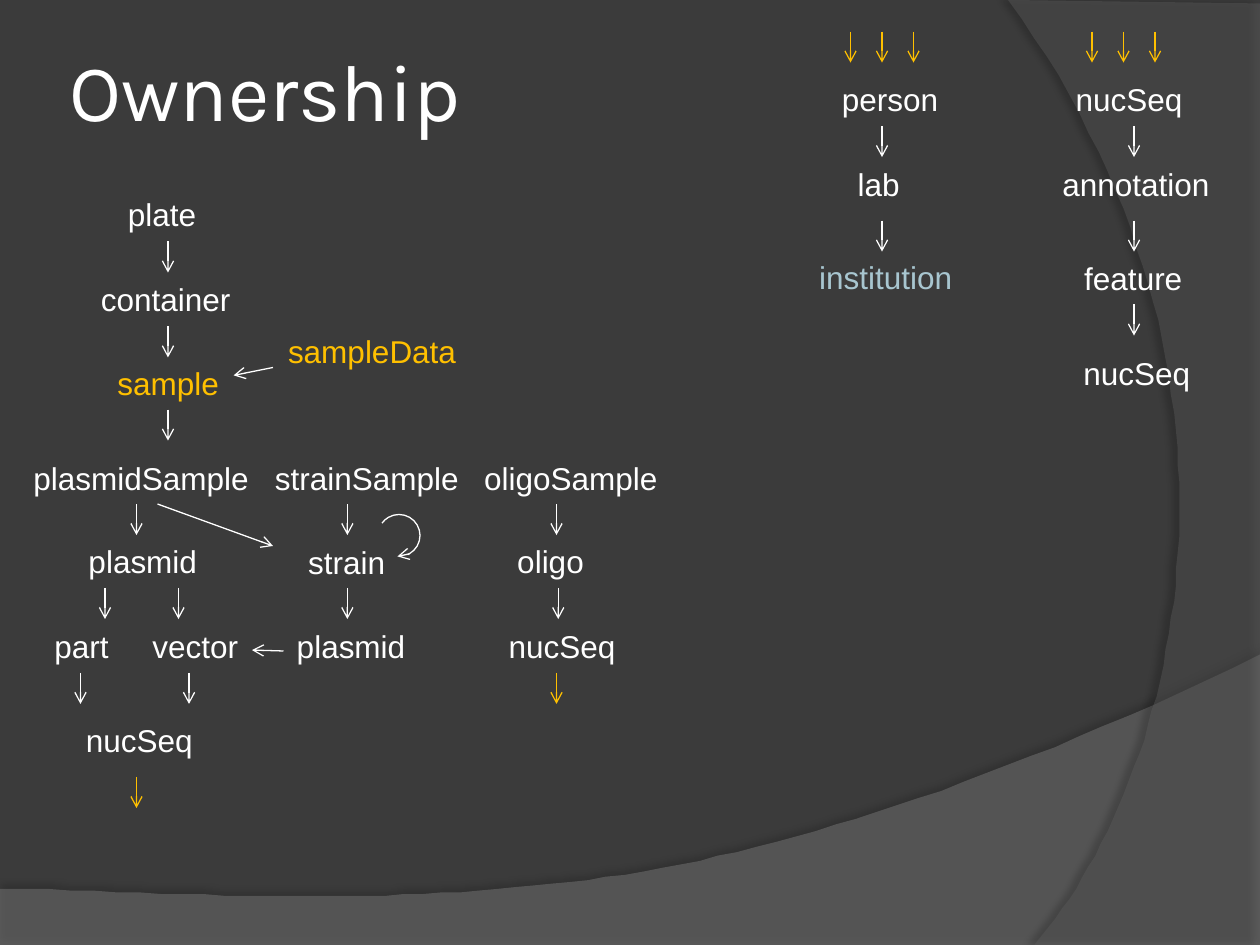
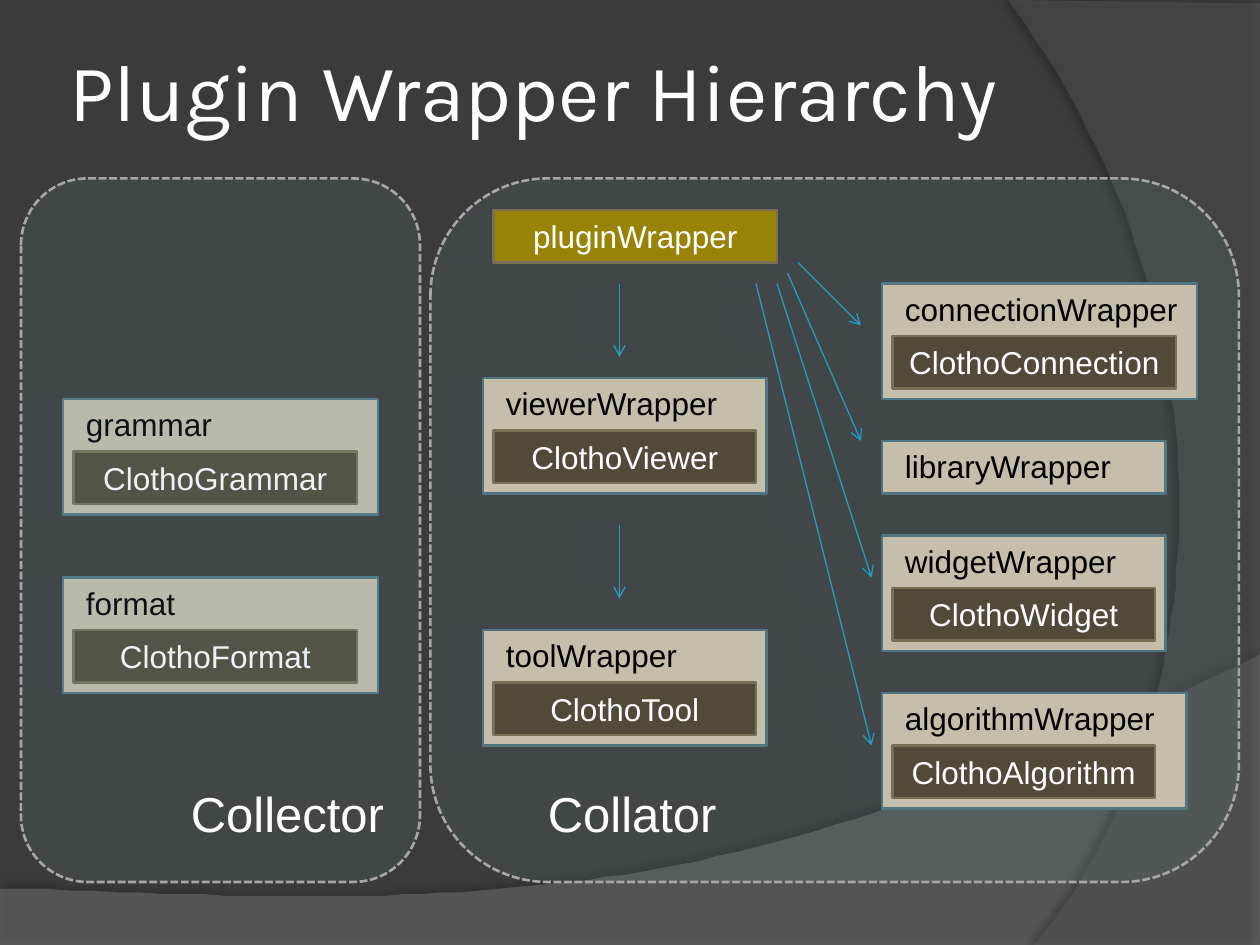
"""Two dark slides: an ownership graph and a plugin wrapper hierarchy."""
from lxml import etree
from pptx import Presentation
from pptx.dml.color import RGBColor
from pptx.enum.dml import MSO_LINE
from pptx.enum.shapes import MSO_CONNECTOR, MSO_SHAPE
from pptx.enum.text import MSO_ANCHOR, MSO_AUTO_SIZE, PP_ALIGN
from pptx.oxml.ns import qn
from pptx.util import Pt

STRAIGHT = MSO_CONNECTOR.STRAIGHT
RECTANGLE, ROUNDED, ARC = MSO_SHAPE.RECTANGLE, MSO_SHAPE.ROUNDED_RECTANGLE, MSO_SHAPE.ARC
DASHED = MSO_LINE.SQUARE_DOT
MIDDLE, TOP = MSO_ANCHOR.MIDDLE, MSO_ANCHOR.TOP
LEFT, CENTER = PP_ALIGN.LEFT, PP_ALIGN.CENTER
GROW, FIXED = MSO_AUTO_SIZE.SHAPE_TO_FIT_TEXT, MSO_AUTO_SIZE.NONE

WIDTH, HEIGHT = 720, 540
COLORS = {
    "background": "3B3B3B", "swoosh": "7F7F7F", "crescent": "5E5E5E", "shadow": "000000",
    "white": "FFFFFF", "black": "000000", "amber": "FFC000", "pale blue": "A8C6D0",
    "panel": "6EA0B0", "panel edge": "A6A6A6", "root": "998307", "arrow blue": "239BC2",
    "card": "C5BEAB", "card edge": "517682", "inner": "514A38", "inner edge": "796F54",
}


def curve(start, control_1, control_2, end, steps=60):
    """Return points along a cubic curve, both ends included."""
    points = []
    for step in range(steps + 1):
        t = step / steps
        weights = ((1 - t) ** 3, 3 * t * (1 - t) ** 2, 3 * t * t * (1 - t), t ** 3)
        corners = (start, control_1, control_2, end)
        points.append(tuple(sum(w * corner[axis] for w, corner in zip(weights, corners))
                            for axis in (0, 1)))
    return points


class Deck:
    """Holds the shared style and the slide being drawn."""

    body_font, title_font = "Arial", "Karla"
    body_size, title_size = 18, 46
    label_height, bar_height, card_height = 29, 30, 66

    def __init__(self):
        """Start an empty 4:3 presentation."""
        self.presentation = Presentation()
        self.presentation.slide_width = Pt(WIDTH)
        self.presentation.slide_height = Pt(HEIGHT)
        self.slide = None

    def color(self, name):
        """Look up a named colour."""
        return RGBColor.from_string(COLORS[name])

    def start_slide(self):
        """Add a slide with the shared background and its two curved bands."""
        self.slide = self.presentation.slides.add_slide(self.presentation.slide_layouts[6])
        fill = self.slide.background.fill
        fill.solid()
        fill.fore_color.rgb = self.color("background")
        swoosh = curve((720, 374.5), (402.5, 525), (281.5, 517.5), (0, 507.5))
        self.band(swoosh + [(0, 540.5), (720, 540.5)], "swoosh", 45, (35, 3.5, 270))
        crescent = curve((591, 540), (673, 445.5), (733, 216), (576, 0))
        self.band(crescent + [(720, 1.5), (720, 540)], "crescent", 40, (45, 4, 180))

    def band(self, points, color, opacity, shadow):
        """Draw a translucent outline; shadow is opacity, distance, direction."""
        builder = self.slide.shapes.build_freeform(*points[0], scale=Pt(1))
        builder.add_line_segments(points[1:], close=True)
        shape = builder.convert_to_shape()
        self.paint(shape, color, opacity=opacity)
        strength, distance, direction = shadow
        effects = shape.element.spPr.find(qn("a:effectLst"))
        outer = etree.SubElement(effects, qn("a:outerShdw"), blurRad=str(Pt(4)),
                                 dist=str(Pt(distance)), dir=str(direction * 60000),
                                 algn="ctr", rotWithShape="0")
        shade = etree.SubElement(outer, qn("a:srgbClr"), val=COLORS["shadow"])
        etree.SubElement(shade, qn("a:alpha"), val=str(strength * 1000))

    def paint(self, shape, color=None, edge=None, opacity=None, weight=1.5):
        """Set fill and line, and drop the theme shadow."""
        shape.shadow.inherit = False
        if color:
            shape.fill.solid()
            shape.fill.fore_color.rgb = self.color(color)
        else:
            shape.fill.background()
        if opacity:
            solid = shape.element.spPr.find(qn("a:solidFill"))
            etree.SubElement(solid[0], qn("a:alpha"), val=str(opacity * 1000))
        if edge:
            shape.line.color.rgb = self.color(edge)
            shape.line.width = Pt(weight)
        else:
            shape.line.fill.background()

    def set_text(self, shape, text, color="white", size=None, font=None, align=LEFT,
                 anchor=TOP, wrap=True, grow=False):
        """Put one styled paragraph into a shape."""
        frame = shape.text_frame
        frame.word_wrap = wrap
        frame.auto_size = GROW if grow else FIXED
        frame.vertical_anchor = anchor
        paragraph = frame.paragraphs[0]
        paragraph.text = text
        paragraph.alignment = align
        paragraph.font.name = font or self.body_font
        paragraph.font.size = Pt(size or self.body_size)
        paragraph.font.color.rgb = self.color(color)

    def text_box(self, left, top, width, height):
        """Add an empty text box."""
        return self.slide.shapes.add_textbox(Pt(left), Pt(top), Pt(width), Pt(height))

    def title(self, text, width):
        """Add the slide title."""
        box = self.text_box(36, 6, width, 90)
        frame = box.text_frame
        frame.margin_left = frame.margin_right = Pt(3.6)
        self.set_text(box, text, size=self.title_size, font=self.title_font, anchor=MIDDLE)

    def label(self, text, left, top, width, color="white", size=None, wrap=False):
        """Add a one-line label in a box that fits its text."""
        height = self.label_height if size is None else 41
        box = self.text_box(left, top, width, height)
        self.set_text(box, text, color, size, wrap=wrap, grow=True)

    def arrow_tip(self, shape):
        """End the line of a shape in an open arrowhead."""
        etree.SubElement(shape.element.spPr.find(qn("a:ln")), qn("a:tailEnd"), type="arrow")

    def arrow(self, x1, y1, x2, y2, color="white"):
        """Draw a thin straight arrow."""
        line = self.slide.shapes.add_connector(STRAIGHT, Pt(x1), Pt(y1), Pt(x2), Pt(y2))
        line.line.color.rgb = self.color(color)
        line.line.width = Pt(0.75)
        self.arrow_tip(line)
        etree.SubElement(line.element.spPr, qn("a:effectLst"))

    def down_arrow(self, x, y, color="white"):
        """Draw the short arrow that leads to the next row."""
        self.arrow(x, y, x, y + 17.75, color)

    def box(self, kind, left, top, width, height, color, edge, opacity=None):
        """Add a filled and outlined preset shape."""
        shape = self.slide.shapes.add_shape(kind, Pt(left), Pt(top), Pt(width), Pt(height))
        self.paint(shape, color, edge, opacity)
        return shape

    def loop_arrow(self, left, top, size):
        """Draw the round arrow of a node that owns its own kind."""
        arc = self.slide.shapes.add_shape(ARC, Pt(left), Pt(top), Pt(size), Pt(size))
        arc.adjustments[0], arc.adjustments[1] = 129.659, 56.541
        self.paint(arc, edge="white", weight=0.75)
        self.arrow_tip(arc)

    def panel(self, left, width):
        """Draw a dashed, translucent group panel."""
        shape = self.box(ROUNDED, left, 102, width, 402, "panel", "panel edge", opacity=12)
        shape.line.dash_style = DASHED

    def bar(self, text, left, top, width, color):
        """Draw a dark bar with a centred name."""
        shape = self.box(RECTANGLE, left, top, width, self.bar_height, color, "inner edge")
        self.set_text(shape, text, align=CENTER, anchor=MIDDLE)

    def card(self, name, left, top, width, inner=None, inner_width=150):
        """Draw a wrapper card, with the wrapped class inside if there is one."""
        height = self.card_height if inner else self.bar_height
        self.box(RECTANGLE, left, top, width, height, "card", "card edge")
        if inner:
            self.bar(inner, left + 6, top + 30, inner_width, "inner")
        self.label(name, left + 6, top, width - 6, "black", wrap=True)


def ownership_slide(deck):
    """Draw which object owns which."""
    deck.start_slide()
    deck.title("Ownership", 354)
    labels = [
        ("plate", 66, 108, 54), ("container", 50.5, 156.5, 89.5),
        ("plasmidSample", 12, 258.5, 139), ("strainSample", 150, 258.5, 120),
        ("oligoSample", 269.5, 258.5, 114.5),
        ("plasmid", 43.5, 306, 77), ("strain", 169, 306.5, 59), ("oligo", 288.5, 306, 52.5),
        ("part", 24, 355, 46), ("vector", 80, 355, 64), ("plasmid", 162.5, 355, 77),
        ("nucSeq", 283.5, 355, 76.5), ("nucSeq", 42, 408.5, 76.5),
        ("person", 474, 42, 70), ("lab", 483, 90.5, 39),
        ("nucSeq", 607.5, 42, 76.5), ("annotation", 600, 90.5, 99.5),
        ("feature", 612.5, 144.5, 71.5), ("nucSeq", 612, 198.5, 76.5),
        ("sample", 60, 204.5, 73.5, "amber"), ("sampleData", 157.5, 186, 114.5, "amber"),
        ("institution", 461, 144, 91.5, "pale blue"),
    ]
    for label in labels:
        deck.label(*label)

    rows = {
        72: (504, 648), 126: (504, 648), 138: (96,), 174: (648,), 186.5: (96,), 234: (96,),
        288: (78, 198.5, 318), 336: (60, 102, 198.5, 319), 384.5: (46, 108),
    }
    for y, columns in rows.items():
        for x in columns:
            deck.down_arrow(x, y)
    amber_rows = {18: (486, 504, 522, 624, 642, 660), 384.5: (318,), 444: (78,)}
    for y, columns in amber_rows.items():
        for x in columns:
            deck.down_arrow(x, y, "amber")

    deck.arrow(156, 210, 133.5, 214.5)
    deck.arrow(90, 288, 156, 312)
    deck.arrow(162, 372, 144, 371.5)
    deck.loop_arrow(216, 294, 24)


def hierarchy_slide(deck):
    """Draw the plugin wrappers and the classes they wrap."""
    deck.start_slide()
    deck.panel(246, 462)
    deck.title("Plugin Wrapper Hierarchy", 588)
    deck.bar("pluginWrapper", 282, 120, 162, "root")
    cards = [
        ("viewerWrapper", 276, 216, 162, "ClothoViewer"),
        ("toolWrapper", 276, 360, 162, "ClothoTool"),
        ("connectionWrapper", 504, 162, 180, "ClothoConnection", 162),
        ("libraryWrapper", 504, 252, 162),
        ("widgetWrapper", 504, 306, 162, "ClothoWidget"),
        ("algorithmWrapper", 504, 396, 174, "ClothoAlgorithm"),
        ("grammar", 36, 228, 180, "ClothoGrammar", 162),
        ("format", 36, 330, 180, "ClothoFormat", 162),
    ]
    for card in cards:
        deck.card(*card)

    arrows = [
        (354, 162, 354, 204), (354, 300, 354, 342),
        (456, 150, 492, 186), (450, 156, 492, 252),
        (444, 162, 498, 330), (432, 162, 498, 426),
    ]
    for ends in arrows:
        deck.arrow(*ends, color="arrow blue")

    deck.label("Collator", 306, 444, 112.5, size=28)
    deck.panel(12, 228)
    deck.label("Collector", 102, 444, 126.5, size=28)


def main():
    """Build both slides and save them."""
    deck = Deck()
    ownership_slide(deck)
    hierarchy_slide(deck)
    deck.presentation.save("out.pptx")


main()
